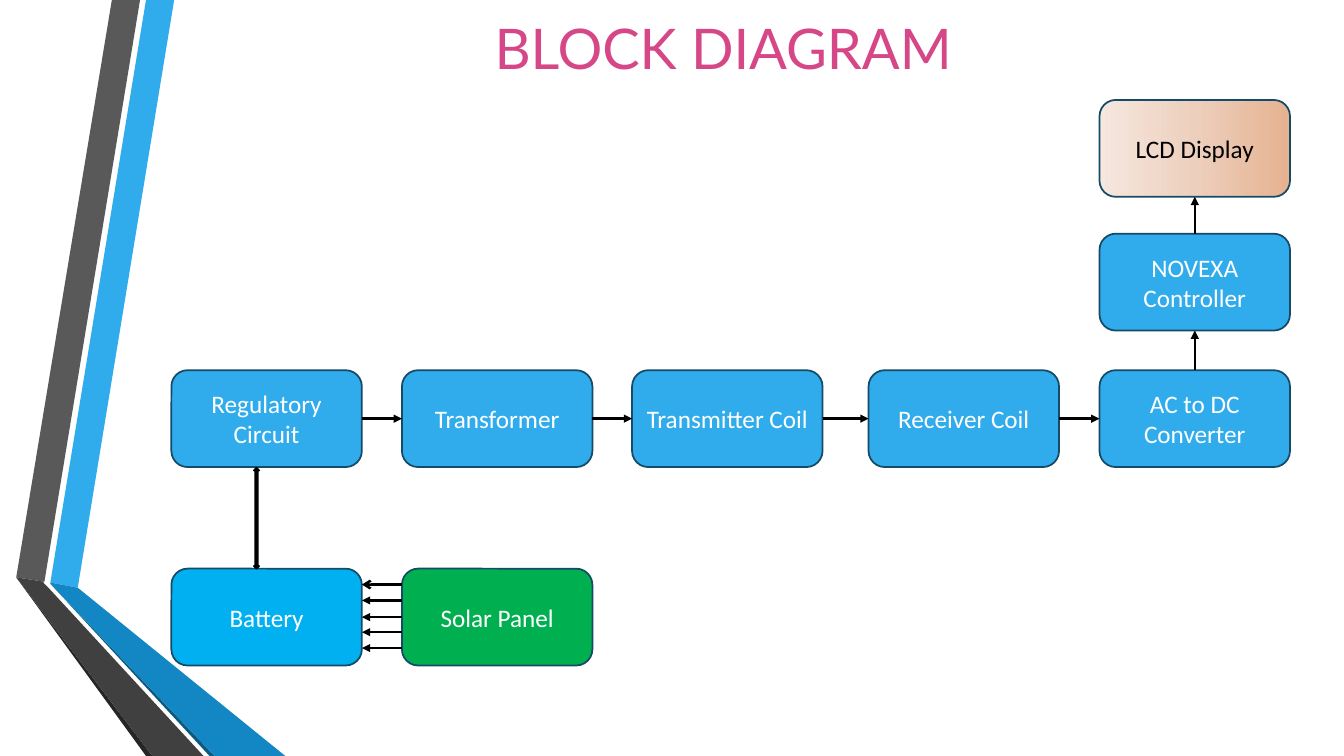
from copy import deepcopy
from lxml import etree
from pptx import Presentation
from pptx.dml.color import RGBColor
from pptx.enum import shapes, text
from pptx.oxml import ns
from pptx.util import Cm, Pt

HUES = {
    "blue": "30ACEC", "sky": "00B0F0", "green": "00B050", "navy": "154B67",
    "pink": "D64787", "black": "000000", "white": "FFFFFF",
    "grey": "595959", "coal": "404040", "soot": "262626",
    "deep": "1287C3", "dark": "0C5A82",
    "cream": "F6E7DF", "peach": "EDCFBD", "tan": "E6B290",
}
HUES = {name: RGBColor.from_string(code) for name, code in HUES.items()}

deck = Presentation()
deck.slide_width, deck.slide_height = Cm(33.87), Cm(19.05)
slide = deck.slides.add_slide(deck.slide_layouts[6])
parts = slide.shapes


def write(shape, words, size=18, font="Calibri", hue="white",
          anchor=text.MSO_ANCHOR.MIDDLE):
    frame = shape.text_frame
    frame.word_wrap = True
    frame.vertical_anchor = anchor
    para = frame.paragraphs[0]
    para.alignment = text.PP_ALIGN.CENTER
    run = para.add_run()
    run.text = words
    run.font.size, run.font.name = Pt(size), font
    run.font.color.rgb = HUES[hue]


def arrow(start, end, y=0, head="triangle"):
    """Join two (box, site) ends, or run level at y between their sides."""
    line = parts.add_connector(shapes.MSO_CONNECTOR.STRAIGHT, 0, 0, 0, 0)
    if y:
        line.begin_x, line.end_x = start, end
        line.begin_y = line.end_y = y
    else:
        line.begin_connect(*start)
        line.end_connect(*end)
    line.line.color.rgb = HUES["black"]
    line.line.width = Pt(1.75)
    tail = etree.SubElement(line.line._get_or_add_ln(), ns.qn("a:tailEnd"))
    tail.set("type", head)
    etree.SubElement(line._element.spPr, ns.qn("a:effectLst"))


# Folded bands on the left
bands = [
    ("blue", [(1.27, 14.68), (1.96, 14.81), (4.39, 0), (3.68, 0)]),
    ("grey", [(3.53, 0), (2.82, 0), (0.41, 14.55), (1.12, 14.66)]),
    ("soot", [(0.41, 14.55), (3.68, 19.05), (3.84, 19.05)]),
    ("dark", [(1.27, 14.71), (5.28, 19.05), (5.41, 19.05)]),
    ("deep", [(1.27, 14.71), (5.41, 19.05), (7.19, 19.05), (1.96, 14.81),
              (1.27, 14.68)]),
    ("coal", [(5.13, 19.05), (1.22, 14.81), (1.09, 14.68), (1.12, 14.66),
              (0.41, 14.55), (3.84, 19.05)]),
]
for hue, points in bands:
    points = [(Cm(x), Cm(y)) for x, y in points]
    edge = parts.build_freeform(*points[0])
    edge.add_line_segments(points[1:], close=True)
    band = edge.convert_to_shape()
    band.shadow.inherit = False
    band.fill.solid()
    band.fill.fore_color.rgb = HUES[hue]
    band.line.fill.background()

# Title
title = parts.add_textbox(Cm(4.32), Cm(-0.28), Cm(27.81), Cm(2.44))
write(title, "BLOCK DIAGRAM", size=40, font="Lato", hue="pink",
      anchor=text.MSO_ANCHOR.BOTTOM)

# Blocks
cols = [4.32, 10.13, 15.93, 21.89, 27.71]
rows = [2.52, 5.89, 9.33, 14.33]
blocks = [
    ("Regulatory Circuit", 0, 2, "blue"),
    ("Transformer", 1, 2, "blue"),
    ("Transmitter Coil", 2, 2, "blue"),
    ("Receiver Coil", 3, 2, "blue"),
    ("AC to DC Converter", 4, 2, "blue"),
    ("NOVEXA Controller", 4, 1, "blue"),
    ("LCD Display", 4, 0, "cream"),
    ("Battery", 0, 3, "sky"),
    ("Solar Panel", 1, 3, "green"),
]
boxes = []
for words, col, row, hue in blocks:
    box = parts.add_shape(shapes.MSO_SHAPE.ROUNDED_RECTANGLE,
                          Cm(cols[col]), Cm(rows[row]), Cm(4.8), Cm(2.44))
    box.shadow.inherit = False
    box.line.color.rgb = HUES["navy"]
    box.line.width = Pt(1.25)
    if hue == "cream":
        box.fill.gradient()
        box.fill.gradient_angle = 0
        first = box._element.spPr.find(".//" + ns.qn("a:gs"))
        first.addnext(deepcopy(first))
        tones = ["cream", "peach", "tan"]
        for i, stop in enumerate(box.fill.gradient_stops):
            stop.position = i / 2
            stop.color.rgb = HUES[tones[i]]
    else:
        box.fill.solid()
        box.fill.fore_color.rgb = HUES[hue]
    write(box, words, hue="black" if hue == "cream" else "white")
    boxes.append(box)

# Main chain: along the row, then up to the display
for i in range(6):
    out, into = (3, 1) if i < 4 else (0, 2)
    arrow((boxes[i], out), (boxes[i + 1], into))

# Five arrows from solar panel to battery
cell, sun = boxes[7:]
for i in range(5):
    if i == 2:
        arrow((sun, 1), (cell, 3))
    else:
        arrow(sun.left, cell.left + cell.width, y=Cm(14.73 + 0.4 * i),
              head="triangle" if i else "arrow")

# Two-way arrow between circuit and battery
both = parts.add_shape(shapes.MSO_SHAPE.UP_DOWN_ARROW,
                       Cm(6.4), Cm(11.79), Cm(0.13), Cm(2.54))
both.shadow.inherit = False
both.fill.solid()
both.fill.fore_color.rgb = both.line.color.rgb = HUES["black"]
both.line.width = Pt(1.25)

deck.save("out.pptx")
